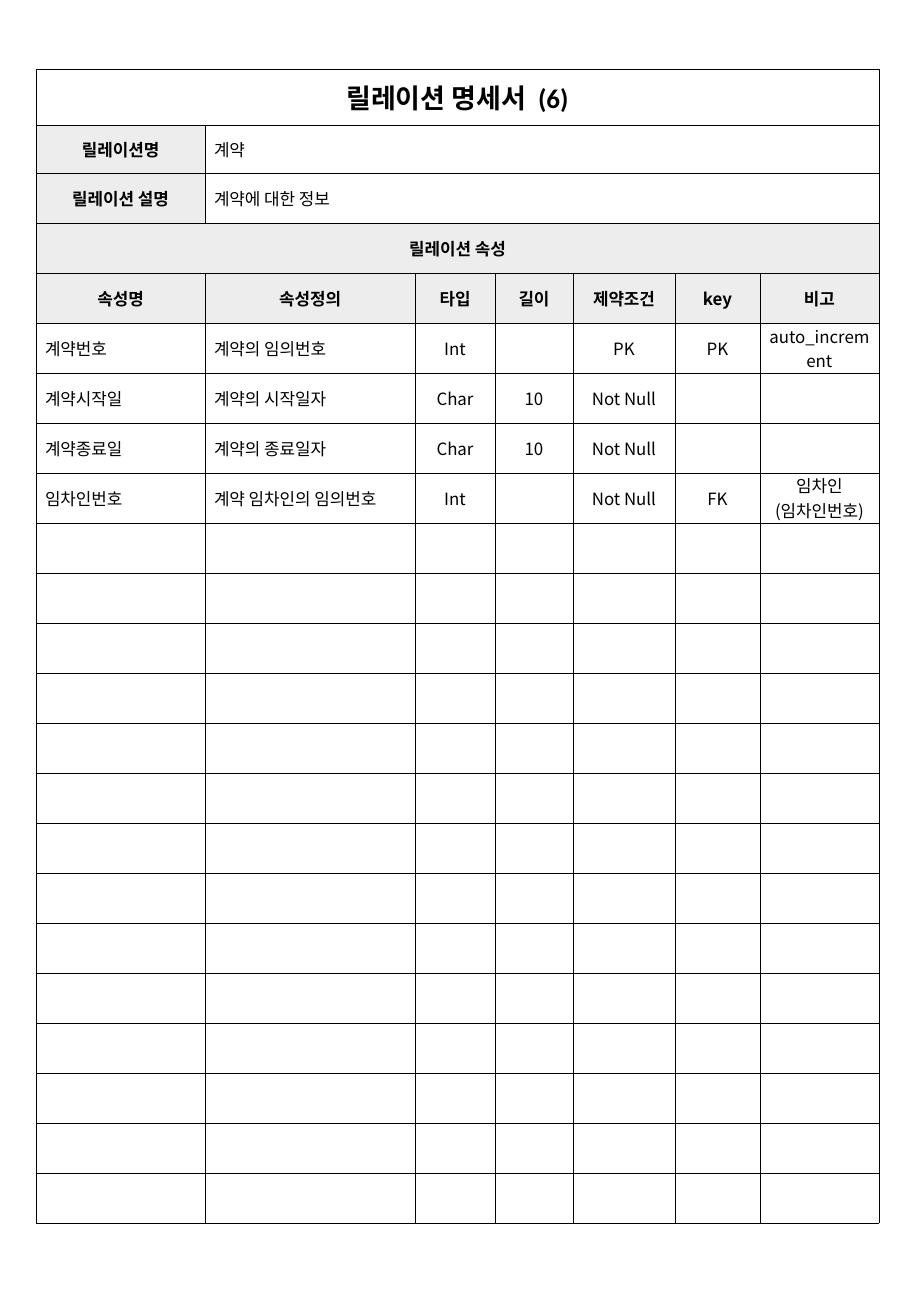
from lxml import etree
from pptx import Presentation, util as u
from pptx.dml.color import RGBColor
from pptx.enum import text
from pptx.oxml.ns import qn

BLACK = RGBColor(0x00, 0x00, 0x00)
WHITE = RGBColor(0xFF, 0xFF, 0xFF)
GREY = RGBColor(0xED, 0xED, 0xED)
KOREAN, LATIN = "Noto Sans CJK KR", "Calibri"

TITLE = ("릴레이션 명세서", " ", "(6)")
TITLE_GAP = 360  # extra width of the gap, in hundredths of a point
INFO = [("릴레이션명", "계약"), ("릴레이션 설명", "계약에 대한 정보")]
SECTION = "릴레이션 속성"
HEADERS = ["속성명", "속성정의", "타입", "길이", "제약조건", "key", "비고"]
ATTRIBUTES = [
    ("계약번호", "계약의 임의번호", "Int", "", "PK", "PK", "auto_increment"),
    ("계약시작일", "계약의 시작일자", "Char", "10", "Not Null", "", ""),
    ("계약종료일", "계약의 종료일자", "Char", "10", "Not Null", "", ""),
    ("임차인번호", "계약 임차인의 임의번호", "Int", "", "Not Null", "FK",
     "임차인\n(임차인번호)"),
]
EMPTY_ROWS = 14

SLIDE_W, SLIDE_H = 911, 1316
LEFT, TOP = 36, 69
COLUMNS = [169, 210, 80, 78, 102, 85, 119]
FIRST_ATTRIBUTE = 5
ROW_COUNT = FIRST_ATTRIBUTE + len(ATTRIBUTES) + EMPTY_ROWS
ROWS = [56, 48] + [50] * (ROW_COUNT - 2)
SIDE_INSET, END_INSET = 9, 4


def px(length):
    return u.Emu(round(length * 914400 / 121.5))


def style_cell(cell, fill):
    """Give the cell thin black borders, a fill and its insets."""
    properties = cell._tc.get_or_add_tcPr()
    for side in ("a:lnL", "a:lnR", "a:lnT", "a:lnB"):
        line = etree.SubElement(properties, qn(side), w=str(u.Pt(0.25)))
        solid = etree.SubElement(line, qn("a:solidFill"))
        etree.SubElement(solid, qn("a:srgbClr"), val=str(BLACK))
    cell.fill.solid()
    cell.fill.fore_color.rgb = fill
    cell.vertical_anchor = text.MSO_ANCHOR.MIDDLE
    cell.margin_left = cell.margin_right = px(SIDE_INSET)
    cell.margin_top = cell.margin_bottom = px(END_INSET)
    # The end mark keeps empty rows from growing.
    para = cell.text_frame.paragraphs[0]
    etree.SubElement(para._p, qn("a:endParaRPr"), sz="1000")


def add_span(para, words, size=10, bold=False, face=KOREAN):
    span = para.add_run()
    span.text = words
    span.font.size = u.Pt(size)
    span.font.bold = bold
    span.font.name = face
    span.font.color.rgb = BLACK
    latin = span.font._element.find(qn("a:latin"))
    east_asian = etree.Element(qn("a:ea"), typeface=KOREAN)
    latin.addnext(east_asian)
    return span


def write(cell, words, centred=True, bold=False, face=KOREAN):
    frame = cell.text_frame
    for index, line in enumerate(words.split("\n")):
        para = frame.add_paragraph() if index else frame.paragraphs[0]
        if centred:
            para.alignment = text.PP_ALIGN.CENTER
        if line:
            add_span(para, line, bold=bold, face=face)


def write_title(cell):
    para = cell.text_frame.paragraphs[0]
    para.alignment = text.PP_ALIGN.CENTER
    spans = [add_span(para, part, 16, True, LATIN) for part in TITLE]
    spans[1].font._element.set("spc", str(TITLE_GAP))


def main():
    deck = Presentation()
    deck.slide_width, deck.slide_height = px(SLIDE_W), px(SLIDE_H)
    page = deck.slides.add_slide(deck.slide_layouts[6])
    table = page.shapes.add_table(ROW_COUNT, len(COLUMNS), px(LEFT), px(TOP),
                                  px(sum(COLUMNS)), px(sum(ROWS))).table
    table.first_row = table.horz_banding = False
    for column, width in zip(table.columns, COLUMNS):
        column.width = px(width)
    for r, height in enumerate(ROWS):
        table.rows[r].height = px(height)
        for c in range(len(COLUMNS)):
            label = r in (3, 4) or (r in (1, 2) and c == 0)
            style_cell(table.cell(r, c), GREY if label else WHITE)

    last = len(COLUMNS) - 1
    for r, first in ((0, 0), (1, 1), (2, 1), (3, 0)):
        table.cell(r, first).merge(table.cell(r, last))

    write_title(table.cell(0, 0))
    for r, (name, value) in enumerate(INFO, 1):
        write(table.cell(r, 0), name, bold=True)
        write(table.cell(r, 1), value, centred=False,
              face=LATIN if r == 2 else KOREAN)
    write(table.cell(3, 0), SECTION, bold=True)
    for c, header in enumerate(HEADERS):
        write(table.cell(4, c), header, bold=True)
    for r, attribute in enumerate(ATTRIBUTES, FIRST_ATTRIBUTE):
        for c, value in enumerate(attribute):
            write(table.cell(r, c), value, centred=c > 1)
        # Two-line remarks need the full row height.
        remark = table.cell(r, last)
        if attribute[last]:
            remark.margin_top = remark.margin_bottom = 0

    deck.save("out.pptx")


if __name__ == "__main__":
    main()
